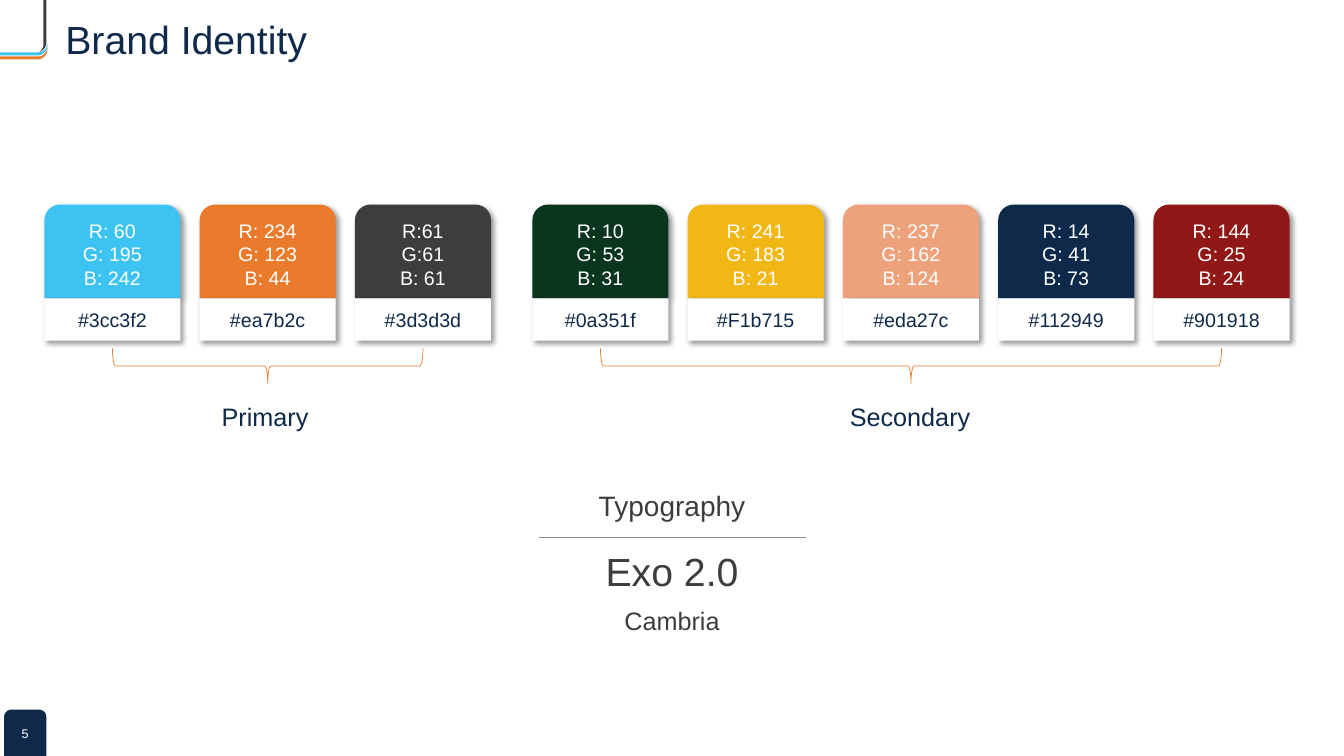
"""Build the brand identity slide with its swatches and type samples."""
from dataclasses import dataclass

from lxml.etree import SubElement
from pptx import Presentation
from pptx.dml.color import RGBColor
from pptx.enum.shapes import MSO_CONNECTOR, MSO_SHAPE
from pptx.enum.text import MSO_ANCHOR, MSO_AUTO_SIZE, PP_ALIGN
from pptx.oxml import parse_xml
from pptx.oxml.ns import nsdecls, qn
from pptx.util import Inches, Pt


@dataclass(frozen=True)
class Theme:
    font: str = "Arial"
    navy: str = "0E2949"
    white: str = "FFFFFF"
    dark: str = "3D3D3D"
    sky: str = "3CC3F2"
    orange: str = "EA7B2C"
    rule: str = "8C8C8C"
    title: int = 28
    head: int = 20
    label: int = 18
    code: int = 14
    page: int = 9
    thin: float = 0.5


theme = Theme()
flush = dict.fromkeys(("margin_left", "margin_top", "margin_right", "margin_bottom"), 0)
grow = {"auto_size": MSO_AUTO_SIZE.SHAPE_TO_FIT_TEXT}
center = PP_ALIGN.CENTER


def write(shape, lines, size, color, align, form):
    frame = shape.text_frame
    base = {"word_wrap": True, "vertical_anchor": MSO_ANCHOR.MIDDLE}
    for name, value in (base | form).items():
        setattr(frame, name, value)
    frame.text = "\n".join(lines)
    for para in frame.paragraphs:
        para.alignment = align
        for name, value in {"name": theme.font, "size": Pt(size)}.items():
            setattr(para.font, name, value)
        para.font.color.rgb = RGBColor.from_string(color)


def curve(start, corner, end):
    points = []
    for step in range(1, 13):
        t = step / 12
        near, far = (1 - t) ** 2 * (1 + 0.65 * t), t ** 2 * (1.65 - 0.65 * t)
        points.append(tuple(a * near + b * far + c * (1 - near - far)
                            for a, b, c in zip(start, end, corner)))
    return points


deck = Presentation()
deck.slide_width, deck.slide_height = Inches(13.33), Inches(7.5)
slide = deck.slides.add_slide(deck.slide_layouts[6])
shapes = slide.shapes

badge = shapes.add_shape(MSO_SHAPE.ROUND_2_SAME_RECTANGLE,
                         Inches(0.04), Inches(7.04), Inches(0.42), Inches(0.46))
badge.shadow.inherit = False
badge.fill.solid()
badge.fill.fore_color.rgb = RGBColor.from_string(theme.navy)
badge.line.fill.background()
write(badge, ["5"], theme.page, theme.white, center, flush)

bands = [(theme.dark, [(0.43, 0), (0.46, 0), (0.46, 0.43),
                       *curve((0.46, 0.43), (0.46, 0.51), (0.38, 0.52)),
                       *curve((0.38, 0.52), (0.43, 0.51), (0.43, 0.45))])]
for color, drop in ((theme.sky, 0), (theme.orange, 0.04)):
    outer = curve((0.47, 0.46 + drop), (0.47, 0.55 + drop), (0.38, 0.55 + drop))
    inner = curve((0.39, 0.52 + drop), (0.47, 0.52 + drop), (0.47, 0.43 + drop))
    bands.append((color, [(0.47, 0.43 + drop), (0.47, 0.46 + drop), *outer,
                          (0, 0.55 + drop), (0, 0.52 + drop), (0.39, 0.52 + drop), *inner]))
mark = shapes.add_group_shape()
for color, points in bands:
    start, *rest = [(Inches(x), Inches(y)) for x, y in points]
    outline = mark.shapes.build_freeform(*start)
    outline.add_line_segments(rest, close=True)
    band = outline.convert_to_shape()
    band.shadow.inherit = False
    band.fill.solid()
    band.fill.fore_color.rgb = RGBColor.from_string(color)
    band.line.fill.background()

title = shapes.add_textbox(Inches(0.55), Inches(0.15), Inches(12.31), Inches(0.53))
write(title, ["Brand Identity"], theme.title, theme.navy, PP_ALIGN.LEFT, grow)
title.text_frame.paragraphs[0].line_spacing = 0.9

sets = [
    ("Primary", 0.44, 1.11, [
        ("#3cc3f2", theme.sky, ("R: 60", "G: 195", "B: 242")),
        ("#ea7b2c", theme.orange, ("R: 234", "G: 123", "B: 44")),
        ("#3d3d3d", theme.dark, ("R:61", "G:61", "B: 61")),
    ]),
    ("Secondary", 5.28, 1.41, [
        ("#0a351f", "0A351F", ("R: 10", "G: 53", "B: 31")),
        ("#F1b715", "F1B715", ("R: 241", "G: 183", "B: 21")),
        ("#eda27c", "EDA27C", ("R: 237", "G: 162", "B: 124")),
        ("#112949", theme.navy, ("R: 14", "G: 41", "B: 73")),
        ("#901918", "901918", ("R: 144", "G: 25", "B: 24")),
    ]),
]
wide, pitch, deep = 1.35, 1.54, 0.35
for name, left, size, tones in sets:
    for index, (code, color, values) in enumerate(tones):
        swatch = shapes.add_group_shape()
        for kind, top, high, fill, lines, ink, form in (
            (MSO_SHAPE.ROUND_2_SAME_RECTANGLE, 2.03, 0.93, color, values, theme.white, {}),
            (MSO_SHAPE.RECTANGLE, 2.96, 0.42, theme.white, [code], theme.navy, flush),
        ):
            part = swatch.shapes.add_shape(kind, Inches(left + index * pitch), Inches(top),
                                           Inches(wide), Inches(high))
            part.fill.solid()
            part.fill.fore_color.rgb = RGBColor.from_string(fill)
            part.line.fill.background()
            part.shadow.inherit = False
            glow = part.element.spPr.find(qn("a:effectLst"))
            glow.append(parse_xml(
                f'<a:outerShdw {nsdecls("a")} blurRad="{Pt(4)}" dist="{Pt(3)}" dir="2700000" '
                'algn="tl" rotWithShape="0"><a:srgbClr val="000000"><a:alpha val="40000"/>'
                '</a:srgbClr></a:outerShdw>'))
            write(part, lines, theme.code, ink, center, form)

    span = pitch * (len(tones) - 1)
    middle = left + (wide + span) / 2
    brace = shapes.add_shape(MSO_SHAPE.RIGHT_BRACE, Inches(middle - deep / 2),
                             Inches(3.63 - span / 2), Inches(deep), Inches(span))
    brace.rotation = 90
    brace.shadow.inherit = False
    brace.fill.background()
    brace.line.color.rgb = RGBColor.from_string(theme.orange)
    brace.line.width = Pt(theme.thin)
    label = shapes.add_textbox(Inches(middle - size / 2), Inches(3.93), Inches(size), Inches(0.4))
    write(label, [name], theme.label, theme.navy, PP_ALIGN.LEFT, grow | {"word_wrap": False})

for text, top, high, size in (
    ("Typography", 4.84, 0.34, theme.head),
    ("Exo 2.0", 5.43, 0.47, theme.title),
    ("Cambria", 6.01, 0.3, theme.label),
):
    sample = shapes.add_textbox(Inches(5.17), Inches(top), Inches(2.99), Inches(high))
    write(sample, [text], size, theme.dark, center, flush | grow)

rule = shapes.add_connector(MSO_CONNECTOR.STRAIGHT, Inches(5.35), Inches(5.33),
                            Inches(7.99), Inches(5.33))
rule.line.color.rgb = RGBColor.from_string(theme.rule)
rule.line.width = Pt(theme.thin)
SubElement(rule.element.spPr, qn("a:effectLst"))

deck.save("out.pptx")
